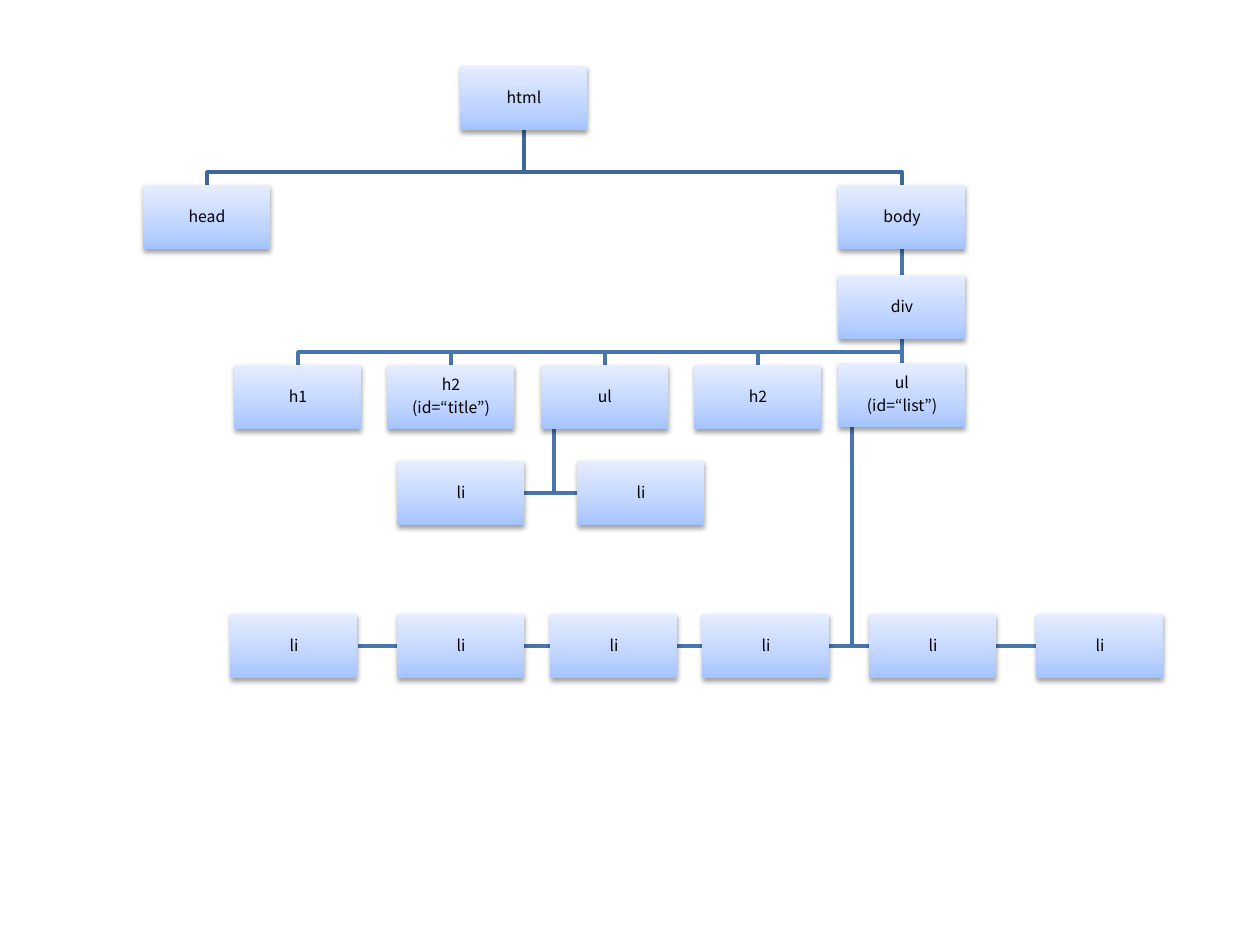
from lxml.etree import SubElement
from pptx import Presentation
from pptx.dml.color import RGBColor
from pptx.enum.shapes import MSO_CONNECTOR as LINE, MSO_SHAPE as SHAPE
from pptx.enum.text import MSO_ANCHOR as ANCHOR, PP_ALIGN as ALIGN
from pptx.oxml import parse_xml
from pptx.oxml.ns import nsdecls, qn
from pptx.util import Pt

PX = 914400 / 126
W, H = 127, 64


def px(n):
    return round(n * PX)


def rgb(color):
    return RGBColor.from_string(color)


class Tree:
    """Draws boxes and their links on one slide in one style."""
    font, size = "Noto Sans CJK KR", Pt(9)
    stops = ((0, "A4C4FF"), (35, "BFD4FF"), (100, "E6EEFF"))
    drop = 13

    def __init__(self, slide):
        self.s = slide

    def line(self, points, color):
        if len(points) == 2:
            (x1, y1), (x2, y2) = points
            sp = self.s.shapes.add_connector(LINE.STRAIGHT, px(x1), px(y1), px(x2), px(y2))
            SubElement(sp._element.spPr, qn("a:effectLst"))
        else:
            start, *rest = points
            builder = self.s.shapes.build_freeform(*start, scale=PX)
            builder.add_line_segments(rest, close=False)
            sp = builder.convert_to_shape()
            sp.fill.background()
            sp.shadow.inherit = False
        sp.line.color.rgb = rgb(color)
        sp.line.width = Pt(2)

    def branch(self, parent, child, color="4875AC"):
        (x1, y1), (x2, y2) = parent, child
        bus = y2 - self.drop
        bends = [] if x1 == x2 else [(x1, bus), (x2, bus)]
        self.line([(x1, y1 + H), *bends, (x2, y2)], color)

    def hang(self, parent, child):
        x = parent[0] - W / 2 + self.drop
        y = child[1] + H / 2
        side = child[0] + (W / 2 if child[0] < x else -W / 2)
        self.line([(x, parent[1] + H), (x, y), (side, y)], "4875AC")

    def box(self, place, *lines):
        x, y = place
        sp = self.s.shapes.add_shape(SHAPE.RECTANGLE, px(x - W / 2), px(y), px(W), px(H))
        sp.line.fill.background()
        self.gradient(sp)
        tf = sp.text_frame
        tf.word_wrap = True
        tf.vertical_anchor = ANCHOR.MIDDLE
        tf.margin_left = tf.margin_right = tf.margin_top = tf.margin_bottom = px(1)
        for i, text in enumerate(lines):
            p = tf.add_paragraph() if i else tf.paragraphs[0]
            p.alignment, p.line_spacing, p.space_after = ALIGN.CENTER, 0.9, Pt(3)
            r = p.add_run()
            r.text = text
            r.font.name, r.font.size = self.font, self.size
            r.font.color.rgb = rgb("000000")

    def gradient(self, sp):
        stops = "".join(f'<a:gs pos="{pos * 1000}"><a:srgbClr val="{color}"/></a:gs>'
                        for pos, color in self.stops)
        spPr = sp._element.spPr
        spPr.find(qn("a:prstGeom")).addnext(parse_xml(
            f'<a:gradFill {nsdecls("a")} rotWithShape="1"><a:gsLst>{stops}</a:gsLst>'
            '<a:lin ang="16200000" scaled="0"/></a:gradFill>'))
        spPr.append(parse_xml(
            f'<a:effectLst {nsdecls("a")}><a:outerShdw blurRad="{Pt(3.1)}" dist="{Pt(1.6)}" '
            'dir="5400000" rotWithShape="0"><a:srgbClr val="000000"><a:alpha val="38000"/>'
            '</a:srgbClr></a:outerShdw></a:effectLst>'))


def main():
    prs = Presentation()
    prs.slide_width, prs.slide_height = px(1260), px(945)
    tree = Tree(prs.slides.add_slide(prs.slide_layouts[6]))

    html, head, body, div = (524, 66), (207, 185), (902, 185), (902, 275)
    h1, title, links, h2 = [(298 + round(i * 153.4), 365) for i in range(4)]
    items = (902, 363)
    link_items = [(x, 461) for x in (461, 641)]
    list_items = [(x, 614) for x in (294, 461, 614, 766, 933, 1100)]

    for child in reversed(list_items):
        tree.hang(items, child)
    for child in (items, h2, links, title, h1):
        tree.branch(div, child)
    for child in link_items:
        tree.hang(links, child)
    tree.branch(body, div)
    for child in (body, head):
        tree.branch(html, child, "3F6797")

    for place, *lines in (
        (html, "html"), (head, "head"), (body, "body"), (div, "div"),
        (h1, "h1"), (title, "h2", "(id=“title”)"), (links, "ul"),
        *((place, "li") for place in link_items),
        (h2, "h2"), (items, "ul", "(id=“list”)"),
        *((place, "li") for place in list_items),
    ):
        tree.box(place, *lines)
    prs.save("out.pptx")


if __name__ == "__main__":
    main()
